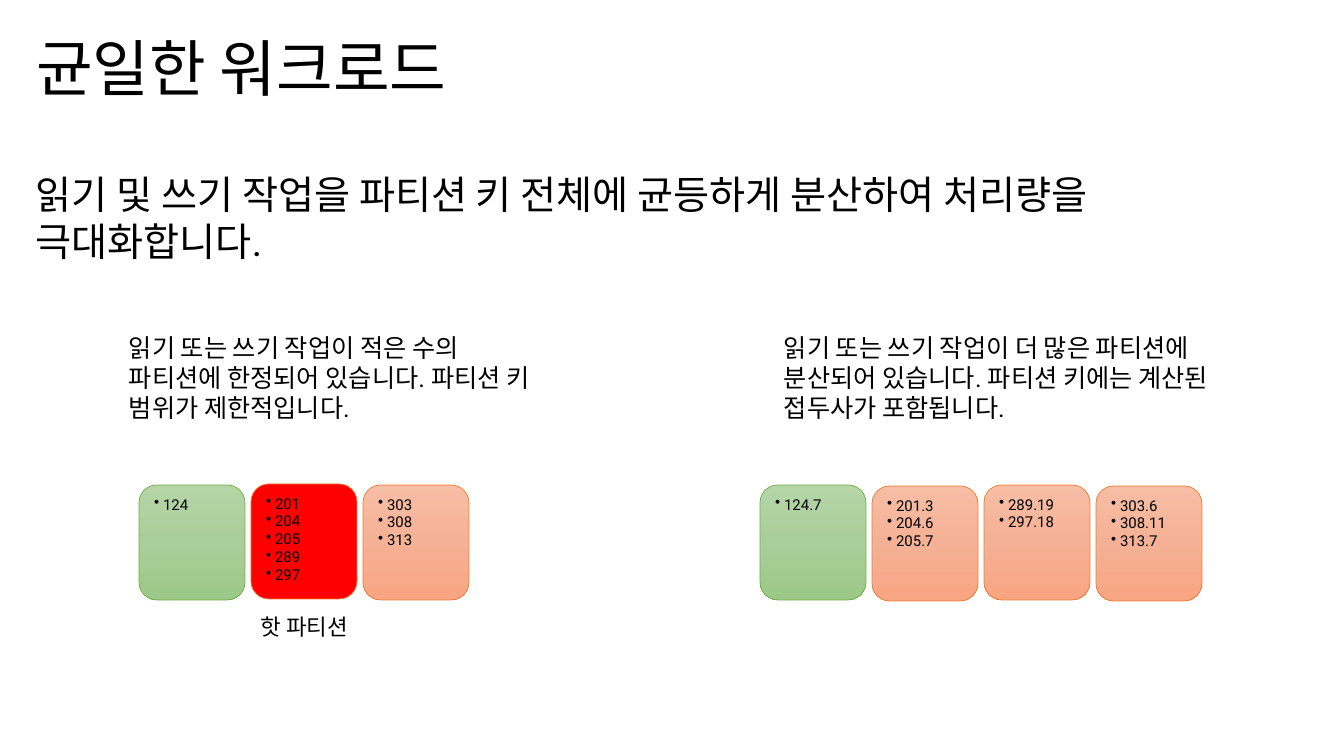
"""Build the uniform workload slide comparing a hot partition with evenly spread partitions."""
import copy
import dataclasses

import pptx
import pptx.dml.color
import pptx.enum.shapes
import pptx.enum.text
import pptx.oxml
import pptx.oxml.ns
import pptx.util


@dataclasses.dataclass(frozen=True)
class Theme:
    font: str = "Roboto"
    text: str = "000000"
    title: float = 44
    lead: float = 28
    note: float = 18
    caption: float = 16
    key: float = 10.7
    green: tuple = (("B5D5A7", "AACE9A", "9CC987"), "70AD47")
    orange: tuple = (("F7BDA5", "F5B196", "F8A582"), "ED7D31")
    hot: tuple = (("FF0000",), "ED7D31")


theme = Theme()
EMU_PER_PX = 914400 / 100.8
rgb = pptx.dml.color.RGBColor.from_string


def px(*lengths):
    return [pptx.util.Emu(round(length * EMU_PER_PX)) for length in lengths]


def write(box, text, size, align=pptx.enum.text.PP_ALIGN.LEFT, anchor=pptx.enum.text.MSO_ANCHOR.TOP,
          fit=pptx.enum.text.MSO_AUTO_SIZE.NONE, spacing=None, after=0, bullet=False):
    frame = box.text_frame
    frame.word_wrap = True
    frame.auto_size = fit
    frame.vertical_anchor = anchor
    frame.text = text
    for para in frame.paragraphs:
        para.alignment = align
        para.line_spacing = spacing
        para.space_after = pptx.util.Pt(after)
        if bullet:
            properties = para._p.get_or_add_pPr()
            indent = px(9)[0]
            properties.set("marL", str(indent))
            properties.set("indent", str(-indent))
            mark = pptx.oxml.parse_xml(f'<a:buChar {pptx.oxml.ns.nsdecls("a")} char="•"/>')
            properties.append(mark)
        for span in para.runs:
            span.font.name = theme.font
            span.font.size = pptx.util.Pt(size)
            span.font.color.rgb = rgb(theme.text)


deck = pptx.Presentation()
deck.slide_width, deck.slide_height = px(1344, 756)
page = deck.slides.add_slide(deck.slide_layouts[5])

title = page.shapes.title
title.left, title.top, title.width, title.height = px(26, 29, 1226, 86)
write(title, "균일한 워크로드", theme.title, anchor=pptx.enum.text.MSO_ANCHOR.MIDDLE, spacing=0.9)

lead = page.shapes.add_textbox(*px(26, 165, 1275, 591))
write(lead, "읽기 및 쓰기 작업을 파티션 키 전체에 균등하게 분산하여 처리량을 극대화합니다.",
      theme.lead, after=6)

GROW = pptx.enum.text.MSO_AUTO_SIZE.SHAPE_TO_FIT_TEXT
notes = [
    (119, 444, "읽기 또는 쓰기 작업이 적은 수의 파티션에 한정되어 있습니다. 파티션 키 범위가 제한적입니다."),
    (774, 481, "읽기 또는 쓰기 작업이 더 많은 파티션에 분산되어 있습니다. 파티션 키에는 계산된 접두사가 포함됩니다."),
]
for left, width, text in notes:
    note = page.shapes.add_textbox(*px(left, 327, width, 102))
    write(note, text, theme.note, fit=GROW)

caption = page.shapes.add_textbox(*px(139, 608, 331, 37))
write(caption, "핫 파티션", theme.caption, align=pptx.enum.text.PP_ALIGN.CENTER, fit=GROW)

TILE_WIDTH, TILE_HEIGHT, TILE_PITCH = 106, 115, 112
groups = [
    (139, [
        (485, theme.green, ["124"]),
        (484, theme.hot, ["201", "204", "205", "289", "297"]),
        (485, theme.orange, ["303", "308", "313"]),
    ]),
    (760, [
        (485, theme.green, ["124.7"]),
        (486, theme.orange, ["201.3", "204.6", "205.7"]),
        (485, theme.orange, ["289.19", "297.18"]),
        (486, theme.orange, ["303.6", "308.11", "313.7"]),
    ]),
]
for group_left, partitions in groups:
    for column, (top, (shades, outline), keys) in enumerate(partitions):
        tile = page.shapes.add_shape(
            pptx.enum.shapes.MSO_SHAPE.ROUNDED_RECTANGLE,
            *px(group_left + column * TILE_PITCH, top, TILE_WIDTH, TILE_HEIGHT))
        tile.shadow.inherit = False
        tile.line.color.rgb = rgb(outline)
        tile.line.width = pptx.util.Pt(0.5)
        if len(shades) == 1:
            tile.fill.solid()
            tile.fill.fore_color.rgb = rgb(shades[0])
        else:
            tile.fill.gradient()
            tile.fill.gradient_angle = 270
            stop_list = tile._element.spPr.find(".//" + pptx.oxml.ns.qn("a:gsLst"))
            stop_list.insert(1, copy.deepcopy(stop_list[0]))
            for stop, position, shade in zip(tile.fill.gradient_stops, (0, 0.5, 1), shades):
                stop.position = position
                stop.color.rgb = rgb(shade)
        write(tile, "\n".join(keys), theme.key, bullet=True)

deck.save("out.pptx")
